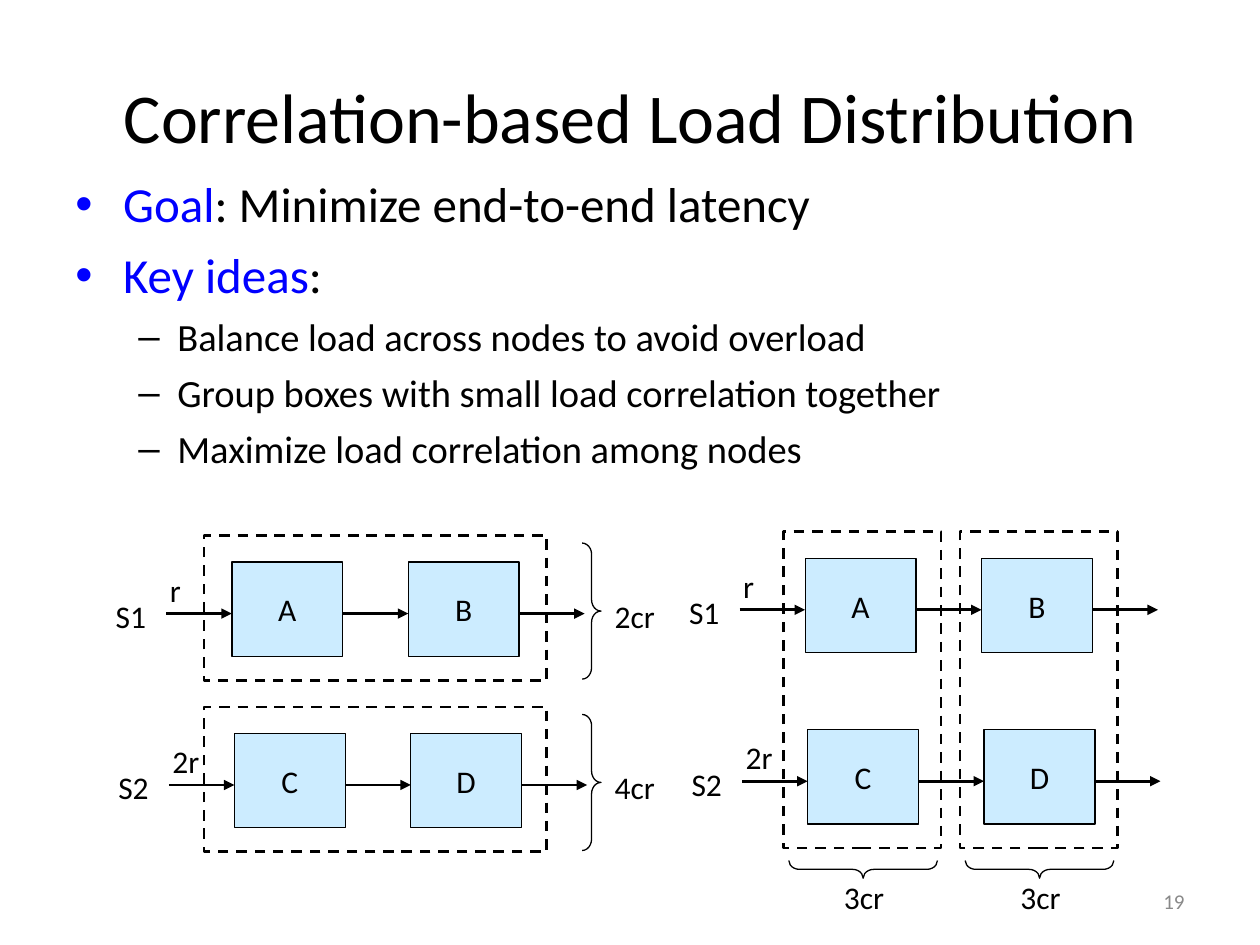
from lxml import etree
from pptx import Presentation
from pptx.dml.color import RGBColor
from pptx.enum.dml import MSO_LINE
from pptx.enum.shapes import MSO_CONNECTOR, MSO_SHAPE
from pptx.enum.text import MSO_ANCHOR, PP_ALIGN
from pptx.oxml.ns import qn
from pptx.util import Pt

PX = 9144  # 100 px to the inch
STRAIGHT = MSO_CONNECTOR.STRAIGHT
RECTANGLE, BRACE = MSO_SHAPE.RECTANGLE, MSO_SHAPE.RIGHT_BRACE
DASH = MSO_LINE.DASH
LEFT, CENTER, RIGHT = PP_ALIGN.LEFT, PP_ALIGN.CENTER, PP_ALIGN.RIGHT
TOP, MIDDLE = MSO_ANCHOR.TOP, MSO_ANCHOR.MIDDLE

FONT = "Calibri"
BLACK, BLUE, PALE_BLUE, GREY = "000000", "0000FF", "CCECFF", "898989"
OPERATOR_W, OPERATOR_H = 88, 75
OPERATOR_PITCH, ROW_PITCH = 140, 136
ROWS = [("S1", "r", "AB"), ("S2", "2r", "CD")]
LABEL_WIDTHS = {1: 30, 2: 48, 3: 54}  # by number of letters


def px(*lengths):
    return [length * PX for length in lengths]


def rgb(value):
    return RGBColor.from_string(value)


def apply(target, values):
    for name, value in values.items():
        setattr(target, name, value)


def add_span(para, text, size, color=BLACK):
    span = para.add_run()
    span.text = text
    apply(span.font, {"name": FONT, "size": Pt(size)})
    span.font.color.rgb = rgb(color)


def write(shape, text, size=18, color=BLACK, align=LEFT, anchor=TOP, wrap=False):
    frame = shape.text_frame
    apply(frame, {"word_wrap": wrap, "vertical_anchor": anchor})
    para = frame.paragraphs[0]
    para.alignment = align
    add_span(para, text, size, color)


def add_label(shapes, x, y, text):
    write(shapes.add_textbox(*px(x, y, LABEL_WIDTHS[len(text)], 40)), text)


def add_outline(shapes, kind, box, width, fill=None):
    shape = shapes.add_shape(kind, *px(*box))
    shape.shadow.inherit = False
    if fill:
        shape.fill.solid()
        shape.fill.fore_color.rgb = rgb(fill)
    else:
        shape.fill.background()
    shape.line.color.rgb = rgb(BLACK)
    shape.line.width = Pt(width)
    return shape


def add_node(shapes, x, y, width, height):
    add_outline(shapes, RECTANGLE, (x, y, width, height), 1.5).line.dash_style = DASH


def add_brace(shapes, x, y, width, height, rotation=0):
    brace = add_outline(shapes, BRACE, (x, y, width, height), 0.75)
    brace.adjustments[0] = 0.6
    brace.rotation = rotation


def add_arrow(shapes, x1, x2, y):
    arrow = shapes.add_connector(STRAIGHT, *px(x1, y, x2, y))
    arrow.line.color.rgb = rgb(BLACK)
    arrow.line.width = Pt(1.5)
    properties = arrow.line._get_or_add_ln()
    etree.SubElement(properties, qn("a:tailEnd"), type="triangle")
    etree.SubElement(arrow._element.spPr, qn("a:effectLst"))


def add_chain(shapes, x, y, source, rate, names):
    """A source feeding two operators; x, y is the first operator's corner."""
    add_label(shapes, x - 102, y + 23, source)
    add_label(shapes, x - 59, y + 2, rate)
    for i, name in enumerate(names):
        box = (x + i * OPERATOR_PITCH, y, OPERATOR_W, OPERATOR_H)
        write(add_outline(shapes, RECTANGLE, box, 0.75, PALE_BLUE),
              name, align=CENTER, anchor=MIDDLE)
    gap = OPERATOR_PITCH - OPERATOR_W
    for i in range(len(names) + 1):
        end = x + i * OPERATOR_PITCH
        add_arrow(shapes, end - gap, end, y + 41)


def add_chains(shapes, x, y):
    for i, row in enumerate(ROWS):
        add_chain(shapes, x + 2 * i, y + i * ROW_PITCH, *row)


def add_connected_plan(slide, x, y):
    """Each node holds one whole chain."""
    shapes = slide.shapes.add_group_shape().shapes
    add_chains(shapes, x + 102, y + 21)
    for i, load in enumerate(["2cr", "4cr"]):
        top = y + i * ROW_PITCH
        add_node(shapes, x + 80, top, 272, 115)
        add_brace(shapes, x + 380, top + 6, 15, 108)
        add_label(shapes, x + 396, top + 44, load)


def add_balanced_plan(slide, x, y):
    """Each node holds one operator of either chain."""
    shapes = slide.shapes.add_group_shape().shapes
    add_chains(shapes, x + 100, y + 21)
    for i, load in enumerate(["3cr", "3cr"]):
        left = x + i * OPERATOR_PITCH
        add_node(shapes, left + 83, y, 125, 251)
        add_brace(shapes, left + 139, y + 209, 14, 118, rotation=90)
        add_label(shapes, left + 121, y + 270, load)


def add_title(slide, box, text):
    title = slide.shapes.title
    apply(title, dict(zip(("left", "top", "width", "height"), px(*box))))
    write(title, text, 40, align=CENTER, anchor=MIDDLE, wrap=True)


def add_bullets(slide, box):
    levels = [
        {"size": 28, "before": 7, "margin": 38, "hang": 38, "mark": "•", "color": BLUE},
        {"size": 22, "before": 5.5, "margin": 81, "hang": 31, "mark": "–", "color": BLACK},
    ]
    items = [
        (0, [("Goal", BLUE), (": Minimize end-to-end latency", BLACK)]),
        (0, [("Key ideas", BLUE), (":", BLACK)]),
        (1, [("Balance load across nodes to avoid overload", BLACK)]),
        (1, [("Group boxes with small load correlation together", BLACK)]),
        (1, [("Maximize load correlation among nodes", BLACK)]),
    ]
    frame = slide.shapes.add_textbox(*px(*box)).text_frame
    frame.word_wrap = True
    for i, (depth, spans) in enumerate(items):
        level = levels[depth]
        para = frame.add_paragraph() if i else frame.paragraphs[0]
        apply(para, {"level": depth, "space_before": Pt(level["before"])})
        # Hanging indent and bullet
        properties = para._p.get_or_add_pPr()
        properties.set("marL", str(level["margin"] * PX))
        properties.set("indent", str(-level["hang"] * PX))
        bullet_color = etree.SubElement(properties, qn("a:buClr"))
        etree.SubElement(bullet_color, qn("a:srgbClr"), val=level["color"])
        etree.SubElement(properties, qn("a:buFont"), typeface="Arial")
        etree.SubElement(properties, qn("a:buChar"), char=level["mark"])
        for text, color in spans:
            add_span(para, text, level["size"], color)


def add_page_number(slide, box, text):
    write(slide.shapes.add_textbox(*px(*box)), text, 12, GREY, RIGHT, MIDDLE, True)


def main():
    deck = Presentation()
    deck.slide_width, deck.slide_height = px(1000, 750)
    page = deck.slides.add_slide(deck.slide_layouts[5])  # title only
    add_title(page, (50, 17, 900, 150), "Correlation-based Load Distribution")
    add_bullets(page, (50, 133, 900, 425))
    add_connected_plan(page, 82, 425)
    add_balanced_plan(page, 539, 422)
    add_page_number(page, (717, 695, 233, 40), "19")
    deck.save("out.pptx")


if __name__ == "__main__":
    main()
